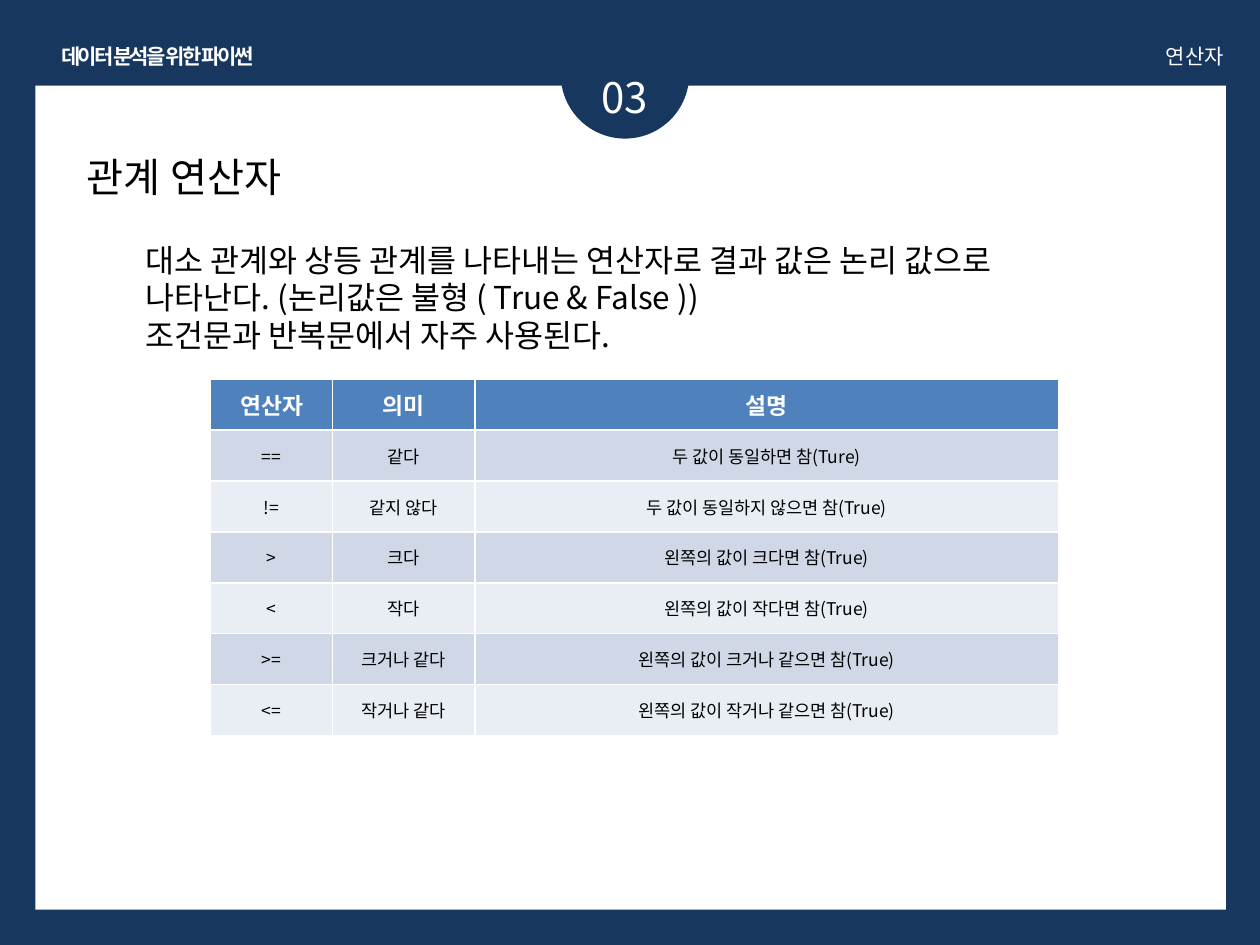
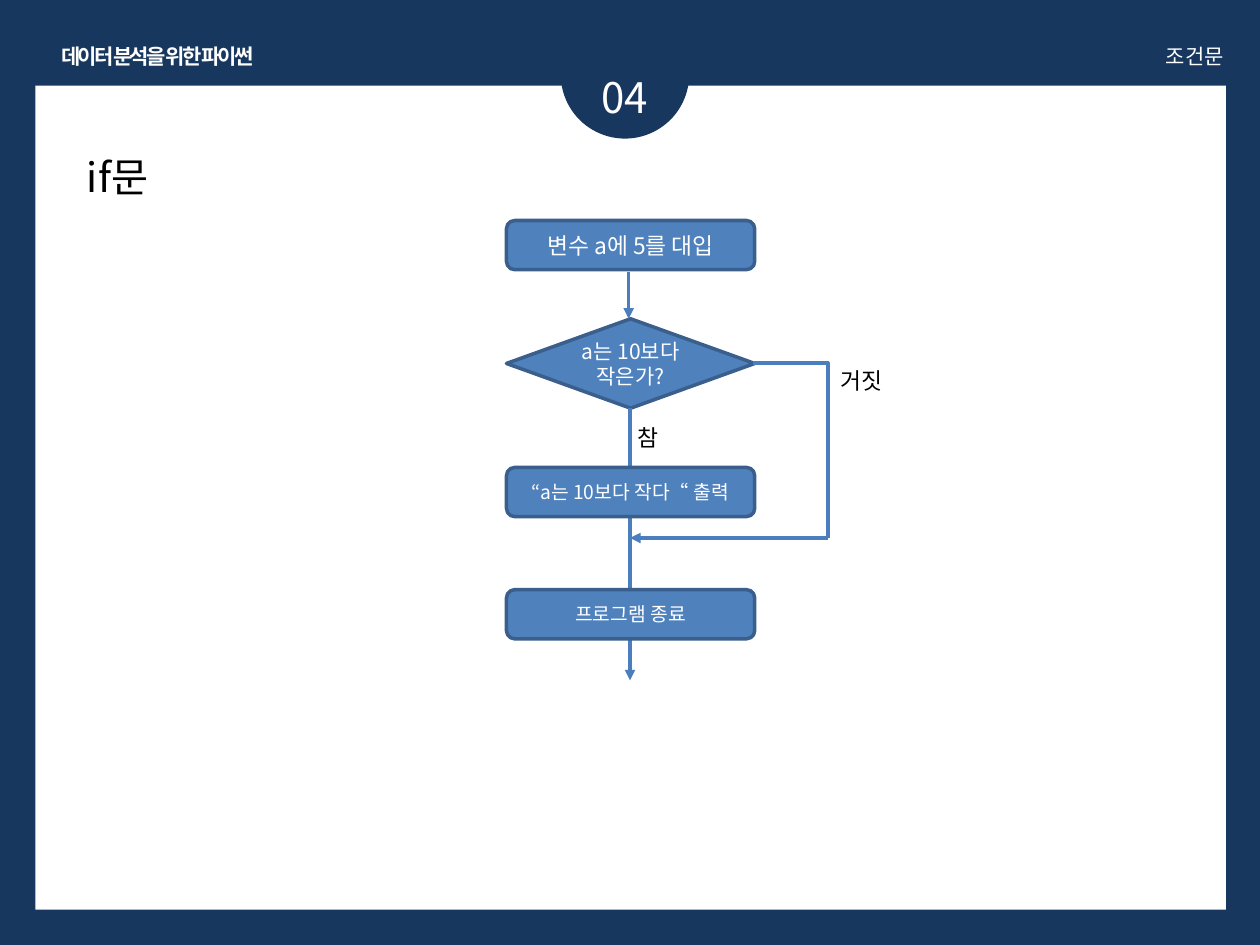
"""Build two Python lecture slides: relational operators and the if statement."""
from lxml.etree import SubElement
from pptx import Presentation
from pptx.dml.color import RGBColor
from pptx.enum.shapes import MSO_CONNECTOR, MSO_SHAPE
from pptx.enum.text import MSO_ANCHOR, MSO_AUTO_SIZE, PP_ALIGN
from pptx.oxml.ns import qn
from pptx.util import Inches, Pt

FONT = "Noto Sans CJK KR"
NAVY, WHITE, BLACK = "17375E", "FFFFFF", "000000"
BLUE, BLUE_EDGE, BLUE_LINE = "4F81BD", "3A5F8C", "4B7EBC"
BANDS = ("D0D8E8", "E9EDF4")
COURSE = "데이터 분석을 위한 파이썬"
LEFT, CENTER, RIGHT = PP_ALIGN.LEFT, PP_ALIGN.CENTER, PP_ALIGN.RIGHT
BOX_LEFT, BOX_WIDTH, BOX_HEIGHT = 4.02, 1.97, 0.39
FLOW_X, BRANCH_X, MERGE_Y = 5, 6.57, 4.27
OPERATORS = [
    ("연산자", "의미", "설명"),
    ("==", "같다", "두 값이 동일하면 참(Ture)"),
    ("!=", "같지 않다", "두 값이 동일하지 않으면 참(True)"),
    (">", "크다", "왼쪽의 값이 크다면 참(True)"),
    ("<", "작다", "왼쪽의 값이 작다면 참(True)"),
    (">=", "크거나 같다", "왼쪽의 값이 크거나 같으면 참(True)"),
    ("<=", "작거나 같다", "왼쪽의 값이 작거나 같으면 참(True)"),
]


def paint(fill, color):
    fill.solid()
    fill.fore_color.rgb = RGBColor.from_string(color)


def write(tf, text, size, color, align=LEFT, bold=False, spacing=None):
    tf.text = text
    for p in tf.paragraphs:
        p.alignment = align
        font = p.font
        font.name, font.size, font.bold = FONT, Pt(size), bold
        paint(font.fill, color)
        SubElement(font._rPr, qn("a:ea"), typeface=FONT)
        if spacing is not None:
            font._rPr.set("spc", str(int(spacing * 100)))


def add_text(slide, at, text, size, color, align=LEFT, wrap=True, **style):
    tf = slide.shapes.add_textbox(*map(Inches, at)).text_frame
    tf.word_wrap = wrap
    tf.auto_size = MSO_AUTO_SIZE.SHAPE_TO_FIT_TEXT
    write(tf, text, size, color, align, **style)


def add_shape(slide, kind, at, fill, edge=None):
    sp = slide.shapes.add_shape(kind, *map(Inches, at))
    sp.shadow.inherit = False
    paint(sp.fill, fill)
    if edge:
        paint(sp.line.fill, edge)
        sp.line.width = Pt(2)
    else:
        sp.line.fill.background()
    return sp


def add_step(slide, top, text, size, kind=MSO_SHAPE.ROUNDED_RECTANGLE,
             height=BOX_HEIGHT):
    sp = add_shape(slide, kind, (BOX_LEFT, top, BOX_WIDTH, height),
                   BLUE, BLUE_EDGE)
    tf = sp.text_frame
    tf.word_wrap = True
    tf.vertical_anchor = MSO_ANCHOR.MIDDLE
    write(tf, text, size, WHITE, CENTER)


def add_line(slide, start, end, kind=MSO_CONNECTOR.STRAIGHT, arrow=True):
    line = slide.shapes.add_connector(kind, *map(Inches, start + end))
    paint(line.line.fill, BLUE_LINE)
    line.line.width = Pt(2)
    spPr = line._element.spPr
    if arrow:
        SubElement(spPr.find(qn("a:ln")), qn("a:tailEnd"), type="triangle")
    SubElement(spPr, qn("a:effectLst"))
    return line


def add_corner(slide, start, end):
    line = add_line(slide, start, end, MSO_CONNECTOR.ELBOW, arrow=False)
    line._element.spPr.find(qn("a:prstGeom")).set("prst", "bentConnector2")


def add_operator_table(slide):
    widths = (0.97, 1.13, 4.63)
    table = slide.shapes.add_table(
        len(OPERATORS), len(widths), Inches(1.67), Inches(3.01),
        Inches(sum(widths)), Inches(2.83)).table
    for column, width in zip(table.columns, widths):
        column.width = Inches(width)
    for i, row in enumerate(OPERATORS):
        header = i == 0
        for cell, text in zip(table.rows[i].cells, row):
            cell.vertical_anchor = MSO_ANCHOR.MIDDLE
            paint(cell.fill, BLUE if header else BANDS[(i - 1) % 2])
            write(cell.text_frame, text, 13 if header else 10,
                  WHITE if header else BLACK, CENTER, bold=header)


def add_slide(prs, number, chapter, heading):
    slide = prs.slides.add_slide(prs.slide_layouts[5])
    panel = add_shape(slide, MSO_SHAPE.RECTANGLE, (0.28, 0.68, 9.45, 6.54), WHITE)
    slide.shapes._spTree.insert(2, panel._element)
    add_shape(slide, MSO_SHAPE.OVAL, (4.45, 0.08, 1.02, 1.02), NAVY)
    add_text(slide, (0.28, 0.3, 1.94, 0.3), COURSE, 12, WHITE, CENTER,
             wrap=False, bold=True, spacing=-1.5)
    add_text(slide, (4.37, 0.52, 1.18, 0.5), number, 24, WHITE, CENTER)
    add_text(slide, (5.87, 0.3, 3.94, 0.3), chapter, 12, WHITE, RIGHT)
    title = slide.shapes.title
    title.left, title.top, title.width, title.height = map(
        Inches, (0.59, 1.16, 8.74, 0.49))
    tf = title.text_frame
    tf.auto_size = MSO_AUTO_SIZE.NONE
    tf.vertical_anchor = MSO_ANCHOR.TOP
    write(tf, heading, 23, BLACK)
    return slide


def build_operators(prs):
    slide = add_slide(prs, "03", "연산자", "관계 연산자")
    add_text(slide, (1.06, 1.86, 7.87, 1.01),
             "대소 관계와 상등 관계를 나타내는 연산자로 결과 값은 논리 값으로 "
             "나타난다. (논리값은 불형 ( True & False ))\n"
             "조건문과 반복문에서 자주 사용된다.", 18, BLACK)
    add_operator_table(slide)


def build_if_flow(prs):
    slide = add_slide(prs, "04", "조건문", "if문")
    add_step(slide, 2.53, "a는 10보다 작은가?", 12, MSO_SHAPE.DIAMOND, 0.71)
    add_line(slide, (4.99, 2.16), (4.99, 2.53))
    add_line(slide, (FLOW_X, 3.24), (FLOW_X, 5.4))
    add_corner(slide, (5.98, 2.88), (BRANCH_X, MERGE_Y))
    add_line(slide, (BRANCH_X, MERGE_Y), (FLOW_X, MERGE_Y))
    add_text(slide, (4.96, 3.31, 0.35, 0.32), "참", 13, BLACK)
    add_text(slide, (BRANCH_X, 2.86, 0.67, 0.32), "거짓", 13, BLACK)
    add_step(slide, 1.75, "변수 a에 5를 대입", 13)
    add_step(slide, 3.71, "“a는 10보다 작다“ 출력", 11)
    add_step(slide, 4.68, "프로그램 종료", 11)


def main():
    prs = Presentation()
    prs.slide_width, prs.slide_height = Inches(10), Inches(7.5)
    paint(prs.slide_master.background.fill, NAVY)
    build_operators(prs)
    build_if_flow(prs)
    prs.save("out.pptx")


if __name__ == "__main__":
    main()
